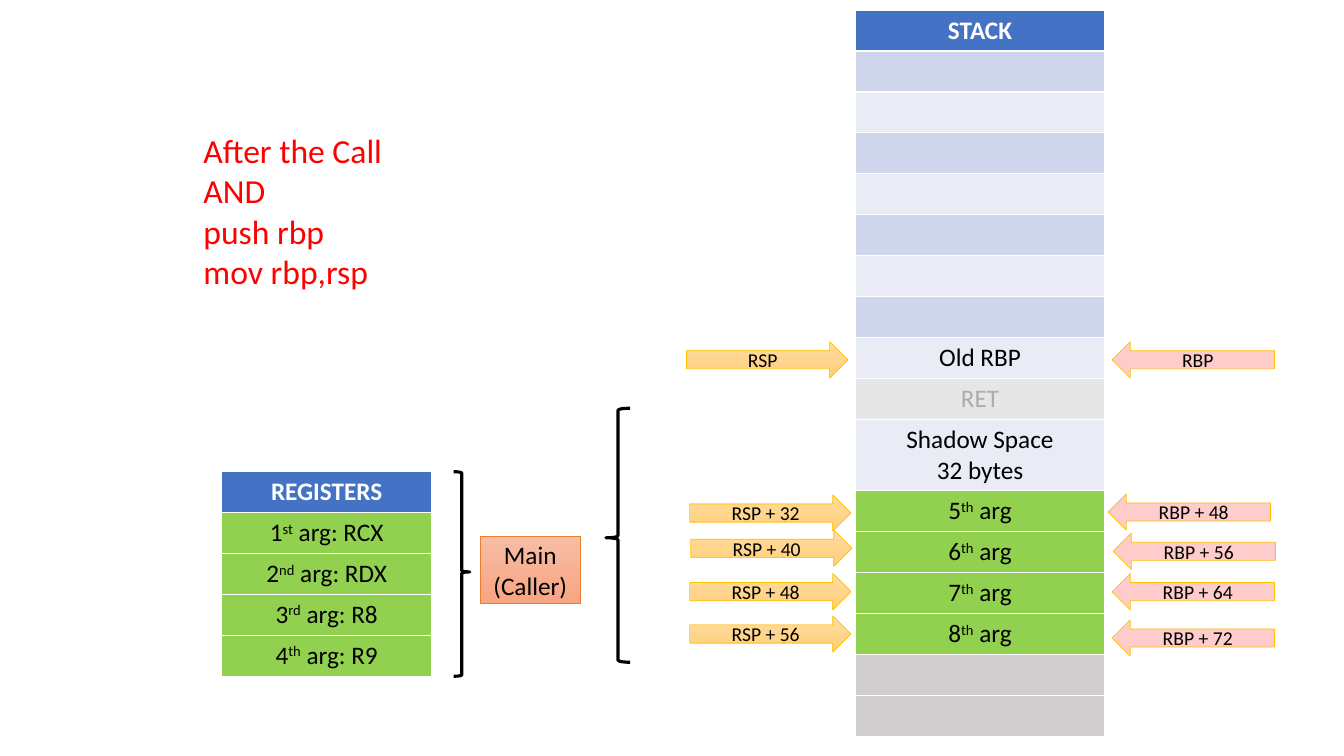
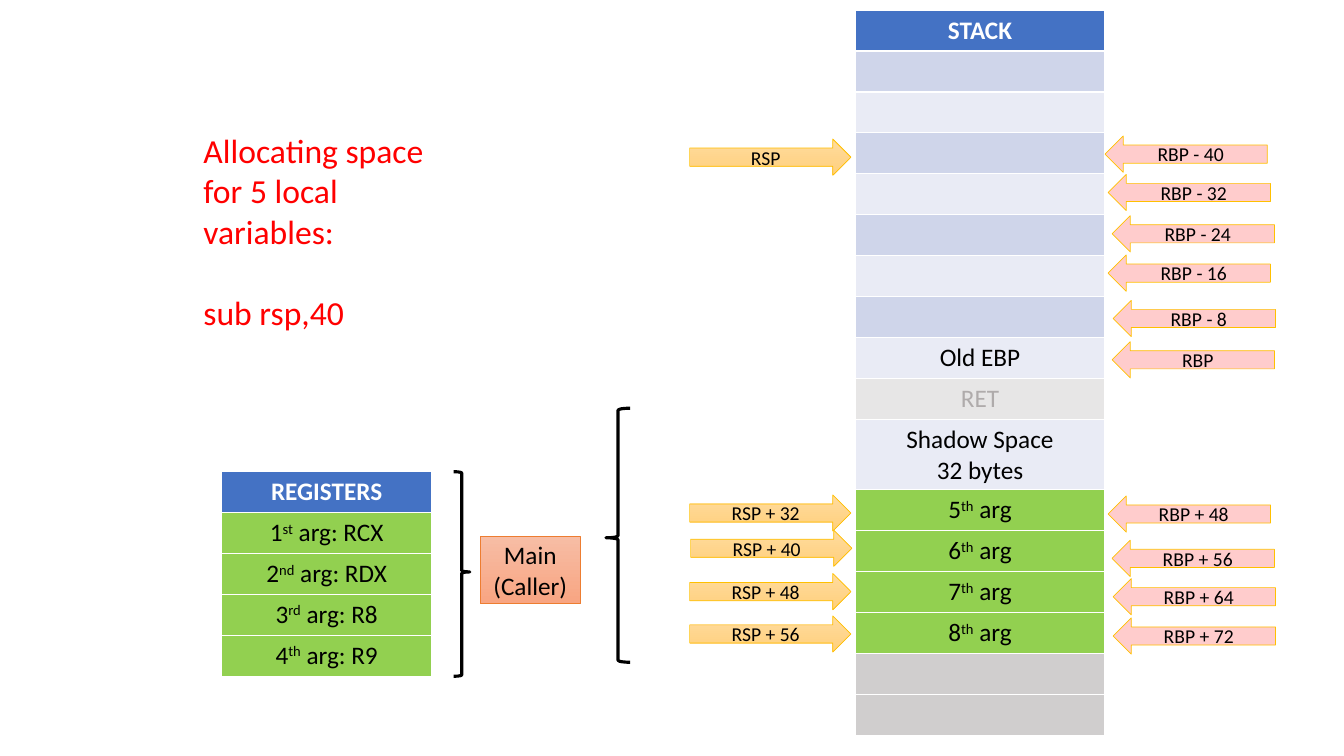
"""Two slides showing the call stack and the registers around a function call."""
from pptx import Presentation
from pptx.dml.color import RGBColor
from pptx.enum.shapes import MSO_SHAPE as Shape
from pptx.enum.text import MSO_AUTO_SIZE as AutoSize, PP_ALIGN as Align
from pptx.util import Inches, Pt

FONT = "Calibri"
COLORS = {name: RGBColor.from_string(value) for name, value in {
    "header": "4472C4", "dark band": "CFD5EA", "light band": "E9EBF5",
    "return": "E7E6E6", "argument": "92D050", "unused": "D0CECE",
    "white": "FFFFFF", "black": "000000", "muted": "AFABAB", "red": "FF0000",
    "pink": "FFCCCC", "gold": "FFC000", "gold top": "FFDB9E",
    "gold bottom": "FFD07C", "orange": "ED7D31", "orange top": "F7BDA5",
    "orange bottom": "F8A582",
}.items()}
ROW_HEIGHT = Inches(2.03) // 5
SHADOW_ROW_HEIGHT = Inches(0.7)

REGISTER_ROWS = [("REGISTERS", "header")] + [
    (text, "argument") for text in (
        "1|st| arg: RCX", "2|nd| arg: RDX", "3|rd| arg: R8", "4|th| arg: R9")]
FREE_ROWS = [("", "light band" if index % 2 else "dark band") for index in range(7)]
ARGUMENT_ROWS = [(f"{number}|th| arg", "argument") for number in range(5, 9)]
RSP_ARGUMENTS = [("RSP + 32", 6.84, 4.91), ("RSP + 40", 6.85, 5.26),
                 ("RSP + 48", 6.84, 5.69), ("RSP + 56", 6.84, 6.11)]

SLIDES = [
    {
        "caption": ["After the Call AND", "push rbp", "mov rbp,rsp"],
        "caption height": 1.72,
        "command gap": 0,
        "saved": "Old RBP",
        "rsp": [("RSP", 6.81, 3.39)],
        "rbp": [("RBP", 11.03, 3.39), ("RBP + 48", 10.99, 4.9),
                ("RBP + 56", 11.04, 5.29), ("RBP + 64", 11.03, 5.69),
                ("RBP + 72", 11.03, 6.15)],
    },
    {
        "caption": ["Allocating space for 5 local variables:", "sub rsp,40"],
        "caption height": 2.12,
        "command gap": 29,
        "saved": "Old EBP",
        "rsp": [("RSP", 6.84, 1.38)],
        "rbp": [("RBP - 40", 10.96, 1.35), ("RBP - 32", 10.99, 1.73),
                ("RBP - 24", 11.03, 2.14), ("RBP - 16", 10.99, 2.53),
                ("RBP - 8", 11.04, 2.98), ("RBP", 11.03, 3.39),
                ("RBP + 48", 10.99, 4.92), ("RBP + 56", 11.03, 5.36),
                ("RBP + 64", 11.04, 5.74), ("RBP + 72", 11.04, 6.13)],
    },
]


def add_table(slide, left, top, width, rows):
    """Add a one-column table; bars in a text enclose its superscript."""
    table = slide.shapes.add_table(
        len(rows), 1, Inches(left), Inches(top), Inches(width),
        ROW_HEIGHT * len(rows)).table
    for index, (text, fill) in enumerate(rows):
        table.rows[index].height = SHADOW_ROW_HEIGHT if "\n" in text else ROW_HEIGHT
        cell = table.cell(index, 0)
        cell.fill.solid()
        cell.fill.fore_color.rgb = COLORS[fill]
        text_color = {"header": "white", "return": "muted"}.get(fill, "black")
        cell.text_frame.text = text.replace("|", "")
        for para, line in zip(cell.text_frame.paragraphs, text.split("\n")):
            para.alignment = Align.CENTER
            para.font.size = Pt(18)
            if "|" in line:
                para.clear()
                for position, part in enumerate(line.split("|")):
                    span = para.add_run()
                    span.text = part
                    if position == 1:
                        span.font._element.set("baseline", "30000")
            for span in para.runs:
                span.font.name = FONT
                span.font.size = Pt(18)
                span.font.bold = fill == "header"
                span.font.color.rgb = COLORS[text_color]


def add_shape(slide, kind, bounds, line, line_width, fills=(), text="", size=14):
    """Add a shape with no fill, one fill colour or a top-to-bottom gradient."""
    shape = slide.shapes.add_shape(kind, *map(Inches, bounds))
    shape.shadow.inherit = False
    shape.line.color.rgb = COLORS[line]
    shape.line.width = Pt(line_width)
    if len(fills) == 2:
        shape.fill.gradient()
        shape.fill.gradient_angle = 270
        for stop, color in zip(shape.fill.gradient_stops, fills):
            stop.color.rgb = COLORS[color]
    elif fills:
        shape.fill.solid()
        shape.fill.fore_color.rgb = COLORS[fills[0]]
    else:
        shape.fill.background()
    if text:
        shape.text_frame.text = text
        for para in shape.text_frame.paragraphs:
            para.alignment = Align.CENTER
            for span in para.runs:
                span.font.name = FONT
                span.font.size = Pt(size)
                span.font.color.rgb = COLORS["black"]
    return shape


deck = Presentation()
deck.slide_width, deck.slide_height = Inches(13.33), Inches(7.5)

for content in SLIDES:
    page = deck.slides.add_slide(deck.slide_layouts[6])

    stack_rows = [("STACK", "header"), *FREE_ROWS, (content["saved"], "light band"),
                  ("RET", "return"), ("Shadow Space\n32 bytes", "light band"),
                  *ARGUMENT_ROWS, ("", "unused"), ("", "unused")]
    add_table(page, 8.48, 0.1, 2.48, stack_rows)
    add_table(page, 2.2, 4.68, 2.08, REGISTER_ROWS)

    for kind, bounds, middle in ((Shape.LEFT_BRACE, (6.01, 4.05, 0.24, 2.52), 0.51),
                                 (Shape.RIGHT_BRACE, (4.5, 4.68, 0.16, 2.03), 0.49)):
        brace = add_shape(page, kind, bounds, "black", 2.25)
        brace.adjustments[0] = 0.08
        brace.adjustments[1] = middle
    add_shape(page, Shape.RECTANGLE, (4.76, 5.32, 1, 0.67), "orange", 0.5,
              ("orange top", "orange bottom"), "Main\n(Caller)", 18)

    for label, left, top in content["rsp"] + RSP_ARGUMENTS:
        add_shape(page, Shape.RIGHT_ARROW, (left, top, 1.6, 0.36), "gold", 0.5,
                  ("gold top", "gold bottom"), label)
    for label, left, top in content["rbp"]:
        add_shape(page, Shape.LEFT_ARROW, (left, top, 1.61, 0.36), "gold", 0.5,
                  ("pink",), label)

    caption = page.shapes.add_textbox(Inches(1.92), Inches(1.24), Inches(2.57),
                                      Inches(content["caption height"]))
    caption.text_frame.word_wrap = True
    caption.text_frame.auto_size = AutoSize.SHAPE_TO_FIT_TEXT
    caption.text_frame.text = "\n".join(content["caption"])
    caption.text_frame.paragraphs[1].space_before = Pt(content["command gap"])
    for para in caption.text_frame.paragraphs:
        for span in para.runs:
            span.font.name = FONT
            span.font.size = Pt(24)
            span.font.color.rgb = COLORS["red"]

deck.save("out.pptx")
